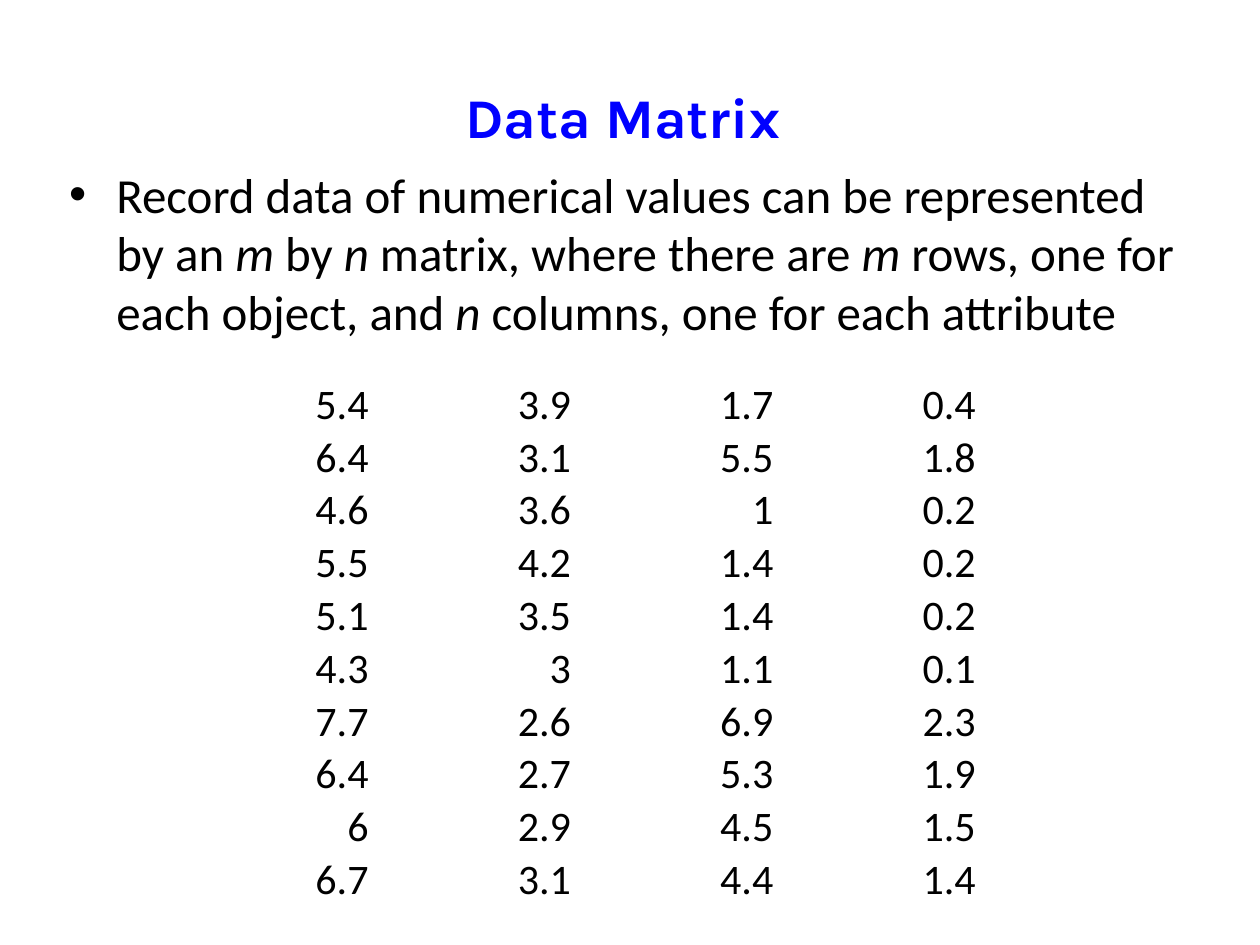
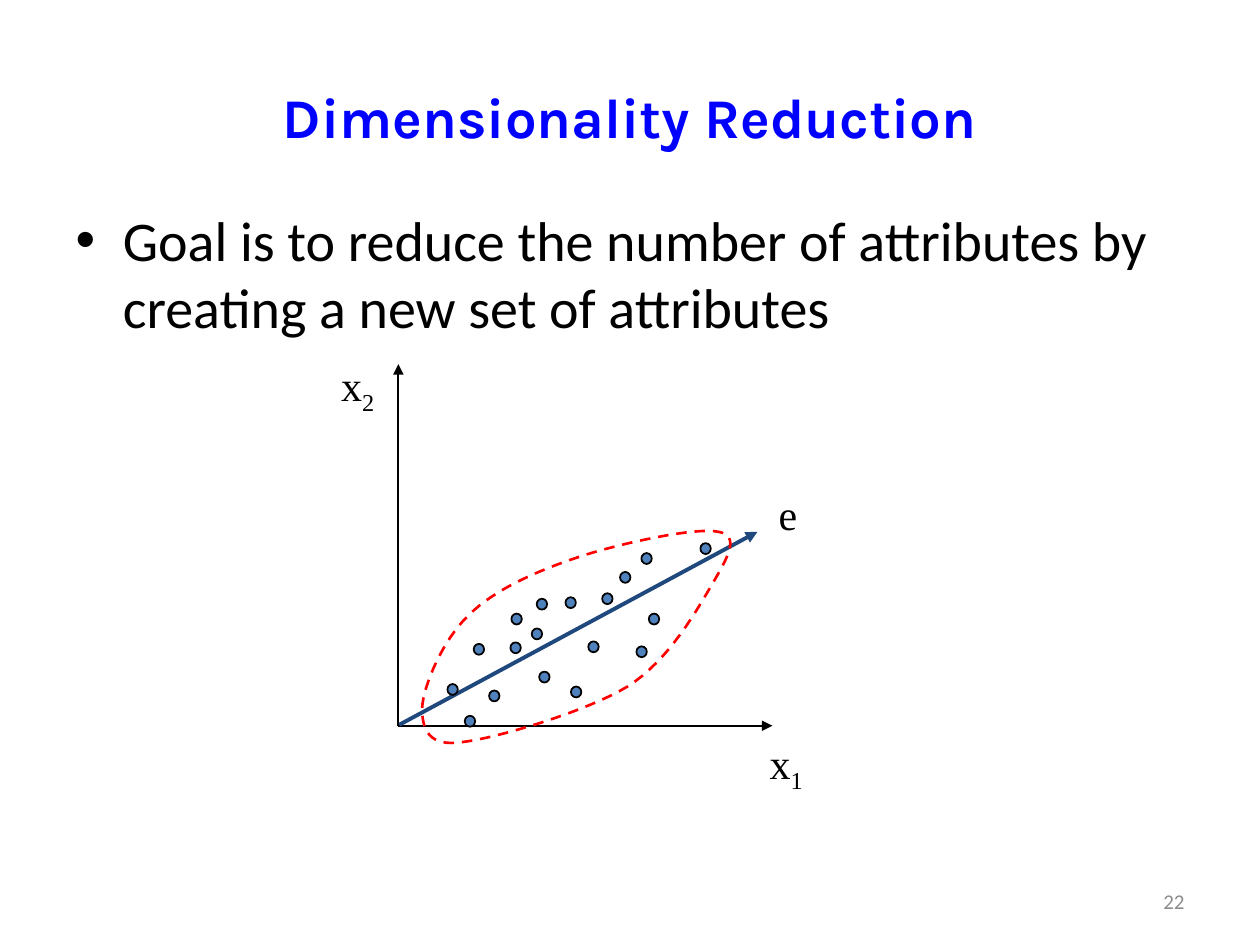
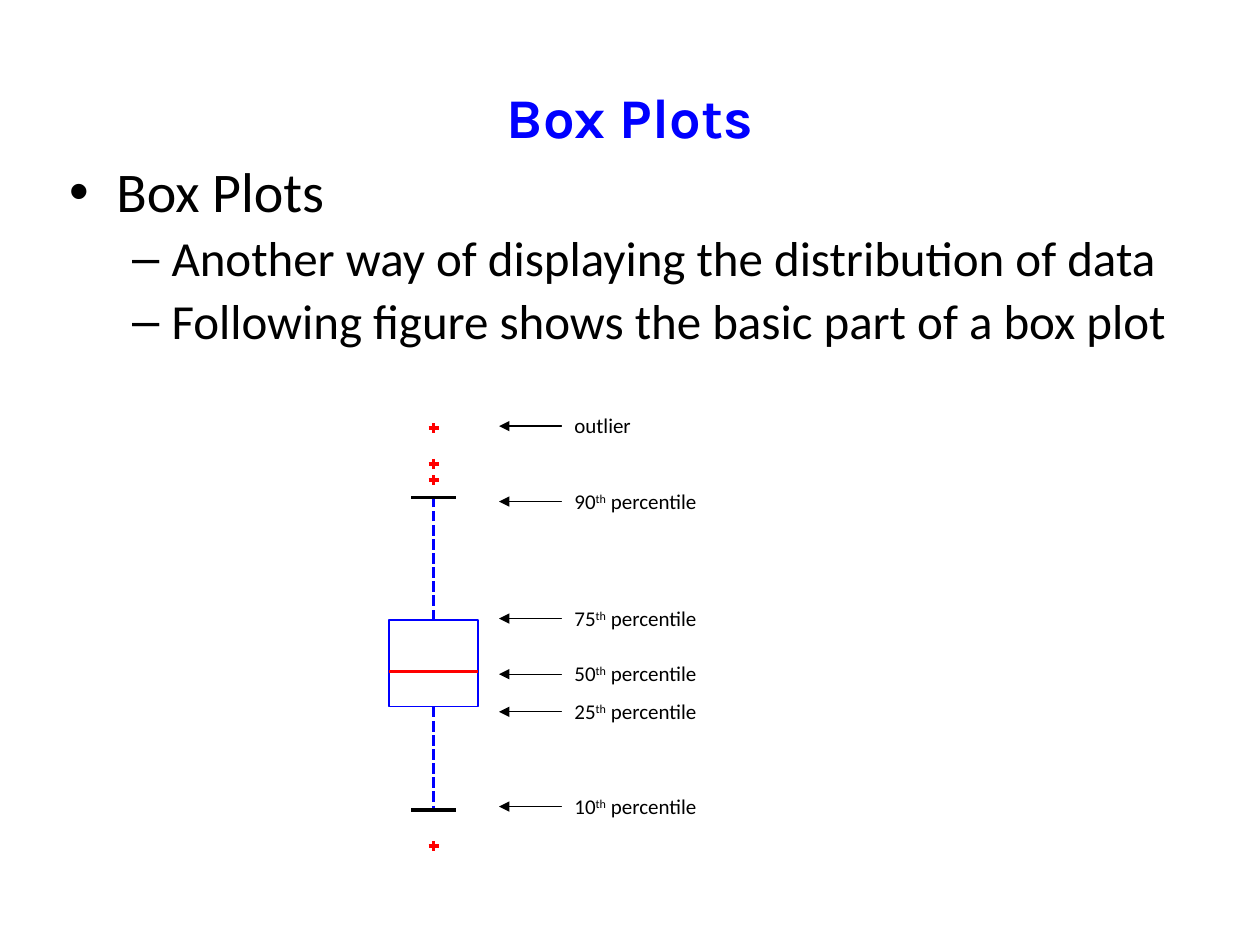
from dataclasses import dataclass
from lxml import etree
from pptx import Presentation
from pptx.dml.color import RGBColor
from pptx.enum.dml import MSO_LINE
from pptx.enum.shapes import MSO_CONNECTOR, MSO_SHAPE
from pptx.enum.text import MSO_ANCHOR, MSO_AUTO_SIZE, PP_ALIGN
from pptx.oxml.ns import qn
from pptx.util import Cm, Pt

LEFT, MID, RIGHT = PP_ALIGN.LEFT, PP_ALIGN.CENTER, PP_ALIGN.RIGHT
TOP, MIDDLE, BOTTOM = MSO_ANCHOR.TOP, MSO_ANCHOR.MIDDLE, MSO_ANCHOR.BOTTOM
DASH, DOTS = MSO_LINE.DASH, MSO_LINE.SQUARE_DOT
RECT, OVAL = MSO_SHAPE.RECTANGLE, MSO_SHAPE.OVAL
STRAIGHT = MSO_CONNECTOR.STRAIGHT
FIT_NONE = MSO_AUTO_SIZE.NONE


@dataclass(frozen=True)
class Theme:
    blue: RGBColor = RGBColor(0, 0, 255)
    black: RGBColor = RGBColor(0, 0, 0)
    white: RGBColor = RGBColor(255, 255, 255)
    red: RGBColor = RGBColor(255, 0, 0)
    navy: RGBColor = RGBColor(0x1F, 0x49, 0x7D)
    steel: RGBColor = RGBColor(0x4F, 0x81, 0xBD)
    gray: RGBColor = RGBColor(0x8C, 0x8C, 0x8C)
    head: str = "Karla"
    body: str = "Calibri"
    math: str = "Times New Roman"
    big: int = 32
    mid: int = 28
    cell: int = 24
    small: int = 12


T = Theme()


def put(frame, text, size=T.big, font=T.body, color=T.black, bold=None,
        align=None, level=0, space=None, slant=None, shift=None):
    para = frame.add_paragraph() if frame.text else frame.paragraphs[0]
    para.level = level
    para.alignment = align
    para.line_spacing = space
    for i, part in enumerate(text.split("|")):
        if not part:
            continue
        run = para.add_run()
        run.text = part
        run.font.size = Pt(size)
        run.font.name = font
        run.font.color.rgb = color
        run.font.bold = bold
        if i % 2:
            run.font.italic = slant
            if shift:
                run.font._element.set("baseline", str(shift * 1000))


def draw(shapes, x1, y1, x2, y2, color=T.black, width=0, dash=None, arrow=False):
    link = shapes.add_connector(STRAIGHT, Cm(x1), Cm(y1), Cm(x2), Cm(y2))
    link.line.color.rgb = color
    link.line.width = Pt(width)
    link.line.dash_style = dash
    props = link._element.spPr
    if arrow:
        etree.SubElement(props.find(qn("a:ln")), qn("a:tailEnd"), type="triangle")
    etree.SubElement(props, qn("a:effectLst"))
    return link


deck = Presentation()
deck.slide_width, deck.slide_height = Cm(25.4), Cm(19.05)

pages = []
for title, area in (
    ("Data Matrix ", (1.14, 3.18, 23.11, 8.69)),
    ("Dimensionality Reduction", (1.27, 4.01, 22.86, 13)),
    ("Box Plots", (1.14, 3.18, 23.42, 5.08)),
):
    page = deck.slides.add_slide(deck.slide_layouts[1])
    name, body = page.placeholders
    for holder, place in ((name, (1.27, 0.76, 22.86, 3.18)), (body, area)):
        holder.left, holder.top, holder.width, holder.height = map(Cm, place)
        holder.text_frame.auto_size = FIT_NONE
    name.text_frame.vertical_anchor = MIDDLE
    put(name.text_frame, title, font=T.head, color=T.blue, bold=True, align=MID)
    pages.append((page.shapes, body.text_frame))

# Data Matrix
shapes, body = pages[0]
put(body, "Record data of numerical values can be represented by an |m| by |n| matrix, "
    "where there are |m| rows, one for each object, and |n| columns, "
    "one for each attribute", size=T.mid, slant=True)
data = (
    "5.4 3.9 1.7 0.4", "6.4 3.1 5.5 1.8", "4.6 3.6 1 0.2", "5.5 4.2 1.4 0.2",
    "5.1 3.5 1.4 0.2", "4.3 3 1.1 0.1", "7.7 2.6 6.9 2.3", "6.4 2.7 5.3 1.9",
    "6 2.9 4.5 1.5", "6.7 3.1 4.4 1.4",
)
grid = shapes.add_table(len(data), 4, Cm(3.38), Cm(7.62), Cm(16.32), Cm(10.4)).table
grid.first_row = grid.horz_banding = False
for r, row in enumerate(data):
    for c, value in enumerate(row.split()):
        cell = grid.cell(r, c)
        cell.fill.background()
        cell.vertical_anchor = BOTTOM
        cell.margin_left = cell.margin_right = cell.margin_top = Cm(0.03)
        cell.margin_bottom = 0
        put(cell.text_frame, value, size=T.cell, align=RIGHT)

# Dimensionality Reduction
shapes, body = pages[1]
put(body, "Goal is to reduce the number of attributes by creating a new set of attributes")
draw(shapes, 8.03, 14.63, 8.03, 7.34, width=1, arrow=True)
draw(shapes, 8.03, 14.63, 15.57, 14.63, width=1, arrow=True)
draw(shapes, 8.05, 14.61, 15.27, 10.72, color=T.navy, width=2.25, arrow=True)

dots = (
    (9.55, 12.98), (10.31, 12.37), (9.02, 13.79), (10.72, 12.67), (10.29, 12.95),
    (11.86, 12.93), (11.51, 13.84), (10.87, 13.54), (11.4, 12.04), (13.08, 12.37),
    (14.12, 10.95), (9.86, 13.92), (12.14, 11.96), (12.93, 11.15), (10.82, 12.07),
    (12.5, 11.53), (12.83, 13.03), (9.37, 14.43),
)
for x, y in dots:
    dot = shapes.add_shape(OVAL, Cm(x), Cm(y), Cm(0.21), Cm(0.22))
    dot.shadow.inherit = False
    dot.fill.solid()
    dot.fill.fore_color.rgb = T.steel
    dot.line.color.rgb = T.black
    dot.line.width = Pt(1)

start = (8.51, 14.27)
bends = (
    ((8.53, 13.84), (8.92, 12.9), (9.45, 12.4)),
    ((9.96, 11.89), (10.82, 11.51), (11.66, 11.23)),
    ((12.5, 10.95), (14.05, 10.62), (14.48, 10.72)),
    ((14.94, 10.8), (14.66, 11.25), (14.35, 11.79)),
    ((14.05, 12.29), (13.49, 13.31), (12.65, 13.84)),
    ((11.81, 14.35), (10.01, 14.88), (9.32, 14.96)),
    ((8.64, 15.06), (8.51, 14.71), start),
)
steps = 16
curve = []
last = start
for a, b, end in bends:
    for i in range(1, steps + 1):
        t = i / steps
        u = 1 - t
        curve.append(tuple(
            Cm(u**3 * p + 3 * u * u * t * q + 3 * u * t * t * r + t**3 * s)
            for p, q, r, s in zip(last, a, b, end)
        ))
    last = end
pen = shapes.build_freeform(Cm(start[0]), Cm(start[1]))
pen.add_line_segments(curve, close=True)
cloud = pen.convert_to_shape()
cloud.shadow.inherit = False
cloud.fill.background()
cloud.line.color.rgb = T.red
cloud.line.width = Pt(1.5)
cloud.line.dash_style = DASH

for text, x, y, wide in (("x|2", 6.6, 7.19, 1.22), ("x|1", 15.24, 14.81, 1.22),
                         ("e", 15.44, 9.73, 0.89)):
    frame = shapes.add_textbox(Cm(x), Cm(y), Cm(wide), Cm(1.27)).text_frame
    frame.word_wrap = False
    frame.vertical_anchor = MIDDLE
    put(frame, text, size=T.cell, font=T.math, align=MID, shift=-25)

frame = shapes.add_textbox(Cm(18.21), Cm(17.65), Cm(5.92), Cm(1.02)).text_frame
frame.word_wrap = True
frame.vertical_anchor = MIDDLE
put(frame, "22", size=T.small, color=T.gray, align=RIGHT)

# Box Plots
shapes, body = pages[2]
put(body, "Box Plots", space=0.9)
for text in ("Another way of displaying the distribution of data",
             "Following figure shows the basic part of a box plot"):
    put(body, text, size=T.mid, level=1, space=0.9)

plot = shapes.add_group_shape().shapes
axis, left, wide, high = 8.74, 7.84, 1.8, 1.75
roof = 12.5
box = plot.add_shape(RECT, Cm(left), Cm(roof), Cm(wide), Cm(high))
box.shadow.inherit = False
box.fill.background()
box.line.color.rgb = T.blue
box.line.width = Pt(0)
for side, edge, tip in ((0, roof, 10.03), (2, roof + high, 16.33)):
    stem = draw(plot, axis, edge, axis, tip, color=T.blue, dash=DOTS)
    stem.begin_connect(box, side)
    draw(plot, axis - 0.45, tip, axis + 0.45, tip)
draw(plot, left, 13.54, left + wide, 13.54, color=T.red)
for y in (8.63, 9.35, 9.68, 17.05):
    draw(plot, axis - 0.1, y, axis + 0.1, y, color=T.red)
    draw(plot, axis, y - 0.1, axis, y + 0.1, color=T.red)

for text, y, wide, high in (
    ("outlier", 8.59, 1.91, 0.64),
    ("10|th| percentile", 16.26, 3.51, 0.94),
    ("25|th| percentile", 14.35, 3.51, 0.94),
    ("75|th| percentile", 12.47, 3.51, 0.94),
    ("50|th| percentile", 13.59, 3.51, 0.94),
    ("90|th| percentile", 10.11, 3.51, 0.94),
):
    draw(plot, 11.33, y, 10.06, y, width=0.75, arrow=True)
    label = plot.add_shape(RECT, Cm(11.33), Cm(y - 0.39), Cm(wide), Cm(high))
    label.shadow.inherit = False
    label.fill.solid()
    label.fill.fore_color.rgb = T.white
    label.line.fill.background()
    label.text_frame.word_wrap = True
    label.text_frame.vertical_anchor = TOP
    put(label.text_frame, text, size=T.small, align=LEFT, shift=30)

deck.save("out.pptx")
